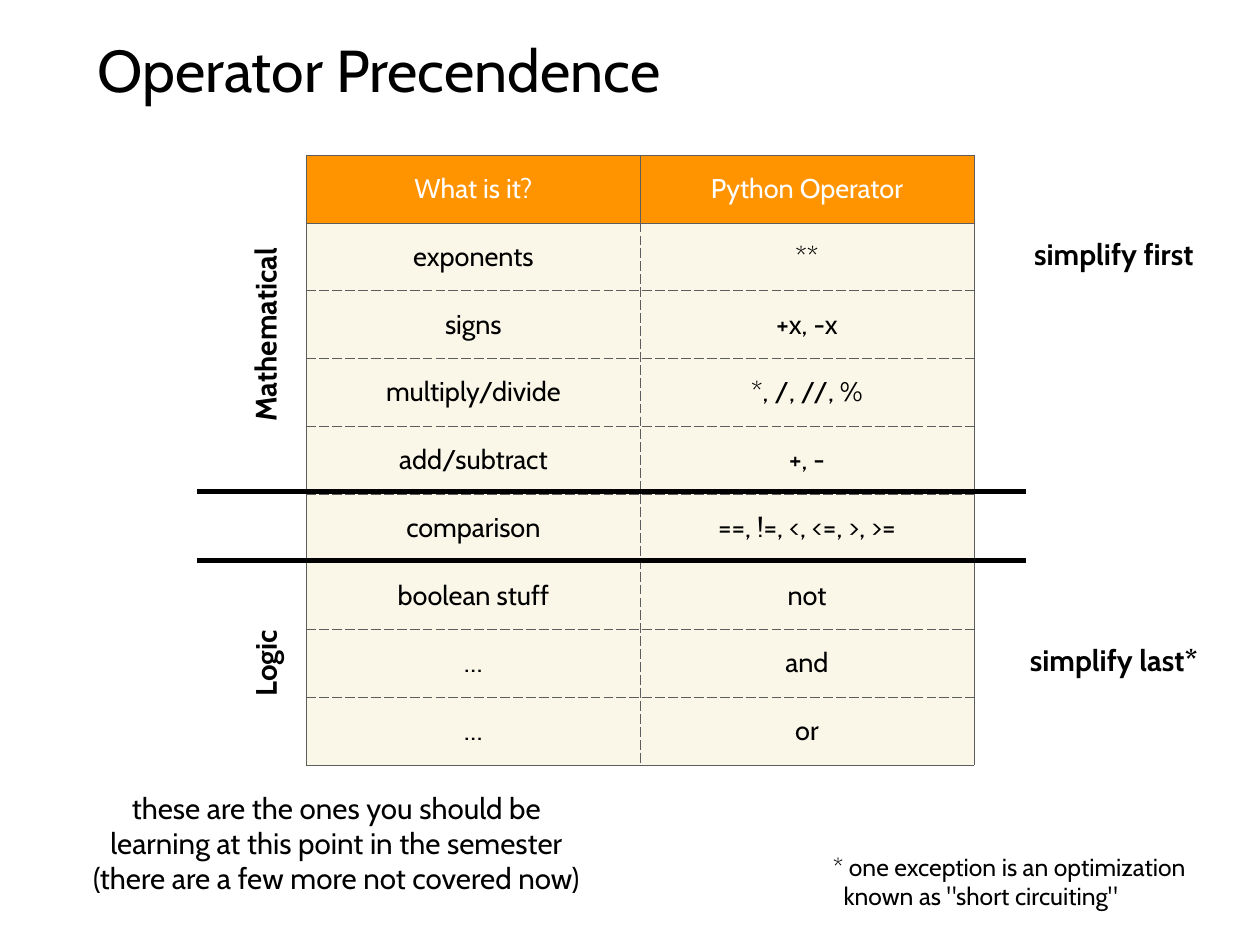
from dataclasses import dataclass

from lxml.etree import SubElement
from pptx import Presentation
from pptx.dml.color import RGBColor
from pptx.enum.shapes import MSO_CONNECTOR
from pptx.enum.text import MSO_ANCHOR, PP_ALIGN
from pptx.oxml.ns import qn
from pptx.util import Inches, Pt


@dataclass(frozen=True)
class Theme:
    font: str = "Cabin"
    ink: str = "000000"
    header_ink: str = "FFFFFF"
    header_fill: str = "FF9400"
    body_fill: str = "FAF7E9"
    border: str = "5D5D5D"
    title: int = 48
    label: int = 24
    cell: int = 22
    footnote: int = 20
    border_width: float = 0.45
    divider_width: float = 4


THEME = Theme()
WIDTH, HEIGHT = 14.22, 10.66
TABLE_LEFT, TABLE_TOP, TABLE_WIDTH, TABLE_HEIGHT = 3.46, 1.75, 7.53, 6.88
LABEL_HEIGHT = 0.51
INSET = 0.06

ROWS = [
    ("What is it?", "Python Operator"),
    ("exponents", "**"),
    ("signs", "+x, -x"),
    ("multiply/divide", "*, /, //, %"),
    ("add/subtract", "+, -"),
    ("comparison", "==, !=, <, <=, >, >="),
    ("boolean stuff", "not"),
    ("…", "and"),
    ("…", "or"),
]
# text, centre x, centre in table rows, width, rotation
LABELS = [
    ("simplify first", 12.57, 1.45, 2.22, 0),
    ("simplify last*", 12.57, 7.45, 2.32, 0),
    ("Mathematical", 2.99, 2.65, 2.44, 270),
    ("Logic", 2.99, 7.5, 0.99, 270),
]
DIVIDER_ROWS = (4.97, 5.98)
DIVIDER_LEFT, DIVIDER_RIGHT = 2.22, 11.58


def row_y(row):
    """Vertical position, in inches, of a number of table rows."""
    return TABLE_TOP + row * TABLE_HEIGHT / len(ROWS)


def write(tf, *lines, size, color=THEME.ink, bold=False, align=PP_ALIGN.CENTER):
    """Fill a text frame with one formatted paragraph per line."""
    tf.word_wrap = True
    for i, line in enumerate(lines):
        p = tf.add_paragraph() if i else tf.paragraphs[0]
        p.alignment = align
        r = p.add_run()
        r.text = line
        r.font.name = THEME.font
        r.font.size = Pt(size)
        r.font.bold = bold
        r.font.color.rgb = RGBColor.from_string(color)


def set_frame(tf):
    tf.vertical_anchor = MSO_ANCHOR.MIDDLE
    tf.margin_left = tf.margin_right = Inches(INSET)
    tf.margin_top = tf.margin_bottom = Inches(INSET)


def add_title(s, text):
    title = s.shapes.title
    title.left, title.top = Inches(1.04), Inches(0.28)
    title.width, title.height = Inches(12.14), Inches(0.99)
    set_frame(title.text_frame)
    write(title.text_frame, text, size=THEME.title, align=PP_ALIGN.LEFT)


def add_text(s, left, top, width, height, *lines, rotation=0, **style):
    sp = s.shapes.add_textbox(*map(Inches, (left, top, width, height)))
    sp.rotation = rotation
    set_frame(sp.text_frame)
    write(sp.text_frame, *lines, **style)
    return sp


def add_border(cell, side, solid):
    ln = SubElement(cell._tc.get_or_add_tcPr(), qn(f"a:ln{side}"),
                    w=str(Pt(THEME.border_width)))
    fill = SubElement(ln, qn("a:solidFill"))
    SubElement(fill, qn("a:srgbClr"), val=THEME.border)
    SubElement(ln, qn("a:prstDash"), val="solid" if solid else "dash")


def add_operator_table(s):
    """Header and outer edges are solid, the inner lines dashed."""
    last_row, last_col = len(ROWS) - 1, len(ROWS[0]) - 1
    table = s.shapes.add_table(
        len(ROWS), len(ROWS[0]),
        *map(Inches, (TABLE_LEFT, TABLE_TOP, TABLE_WIDTH, TABLE_HEIGHT))).table
    table.horz_banding = False
    for i, row in enumerate(ROWS):
        header = i == 0
        for j, text in enumerate(row):
            cell = table.cell(i, j)
            cell.vertical_anchor = MSO_ANCHOR.MIDDLE
            cell.margin_left = cell.margin_right = Inches(INSET)
            cell.margin_top = cell.margin_bottom = Inches(0.05)
            solid = {"L": j == 0, "R": j == last_col,
                     "T": i <= 1, "B": i == last_row}
            for side, is_edge in solid.items():
                add_border(cell, side, header or is_edge)
            cell.fill.solid()
            cell.fill.fore_color.rgb = RGBColor.from_string(
                THEME.header_fill if header else THEME.body_fill)
            write(cell.text_frame, text, size=THEME.cell,
                  color=THEME.header_ink if header else THEME.ink)


def add_divider(s, row):
    y = Inches(row_y(row))
    line = s.shapes.add_connector(MSO_CONNECTOR.STRAIGHT, Inches(DIVIDER_LEFT), y,
                                  Inches(DIVIDER_RIGHT), y)
    line.line.width = Pt(THEME.divider_width)
    line.line.color.rgb = RGBColor.from_string(THEME.ink)
    SubElement(line._element.spPr, qn("a:effectLst"))


def add_label(s, text, x, row, width, rotation):
    add_text(s, x - width / 2, row_y(row) - LABEL_HEIGHT / 2, width, LABEL_HEIGHT,
             text, rotation=rotation, size=THEME.label, bold=True)


def add_footnote(s):
    sp = add_text(s, 9.34, 9.55, 4.58, 0.78,
                  "* one exception is an optimization",
                  'known as "short circuiting"',
                  size=THEME.footnote, align=PP_ALIGN.LEFT)
    pPr = sp.text_frame.paragraphs[1]._p.get_or_add_pPr()
    pPr.set("marL", str(Inches(0.12)))
    pPr.set("indent", "0")


def main():
    prs = Presentation()
    prs.slide_width, prs.slide_height = Inches(WIDTH), Inches(HEIGHT)
    s = prs.slides.add_slide(prs.slide_layouts[5])
    add_title(s, "Operator Precendence")
    add_operator_table(s)
    for row in DIVIDER_ROWS:
        add_divider(s, row)
    for label in LABELS:
        add_label(s, *label)
    add_footnote(s)
    add_text(s, 0.94, 8.45, 5.71, 2.11,
             "these are the ones you should be learning at this point in the semester",
             "(there are a few more not covered now)", size=THEME.label)
    prs.save("out.pptx")


if __name__ == "__main__":
    main()
